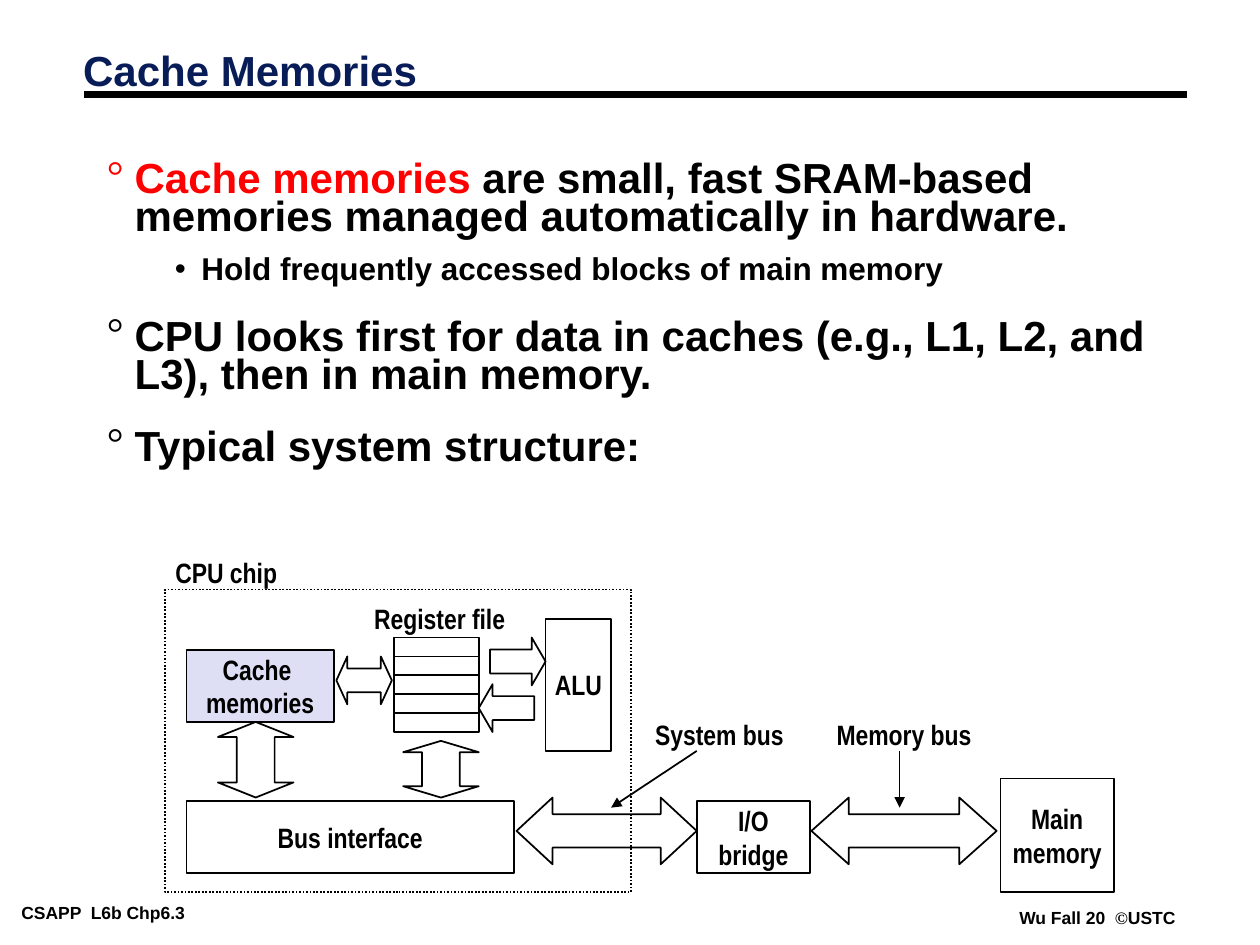
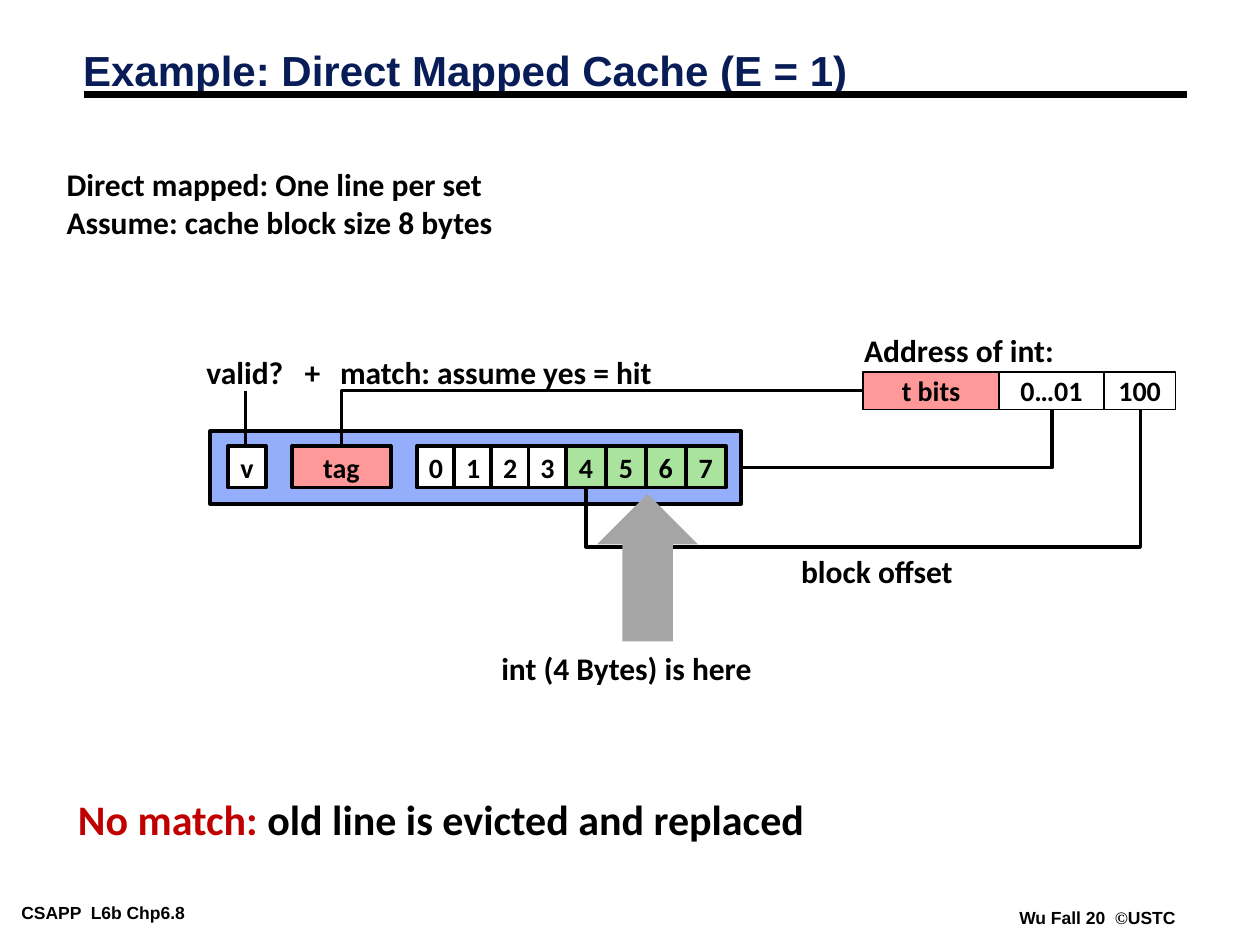
from dataclasses import dataclass

from lxml import etree
from pptx import Presentation
from pptx.dml.color import RGBColor
from pptx.enum.dml import MSO_LINE_DASH_STYLE as Dash
from pptx.enum.shapes import MSO_CONNECTOR as Conn, MSO_SHAPE as Shape
from pptx.enum.text import MSO_ANCHOR as Anchor, MSO_AUTO_SIZE as AutoSize, PP_ALIGN as Align
from pptx.oxml.ns import qn
from pptx.util import Inches, Pt


@dataclass(frozen=True)
class Theme:
    black: str = "000000"
    white: str = "FFFFFF"
    navy: str = "081D58"
    red: str = "FF0000"
    dark_red: str = "C00000"
    lavender: str = "DEDFF5"
    blue: str = "95AEFC"
    pink: str = "FF9999"
    green: str = "A9E39D"
    gray: str = "A6A6A6"
    main_font: str = "Arial"
    narrow_font: str = "Arial Narrow"
    label_font: str = "Calibri"
    symbol_font: str = "Times New Roman"
    big: int = 24
    medium: int = 18
    small: int = 16
    footer: int = 10
    thin: float = 1
    wire: float = 2
    thick: float = 2.25
    rule: float = 4.5


def sub(parent, tag, **attrs):
    return etree.SubElement(parent, qn(tag), **attrs)


def write_run(p, text, *, font, size, color):
    r = p.add_run()
    r.text = text
    r.font.name = font
    r.font.size = Pt(size)
    r.font.bold = True
    r.font.color.rgb = RGBColor.from_string(color)


def write(tf, paragraphs, *, align=Align.LEFT, **style):
    for i, runs in enumerate(paragraphs):
        p = tf.paragraphs[0] if i == 0 else tf.add_paragraph()
        p.alignment = align
        for text, changes in [(runs, {})] if isinstance(runs, str) else runs:
            write_run(p, text, **{**style, **changes})


class Deck:
    def __init__(self, theme):
        self.theme = theme
        self.prs = Presentation()
        self.prs.slide_width = Inches(10)
        self.prs.slide_height = Inches(7.5)
        self.s = None
        self.font = theme.label_font

    def slide(self, title, number, font):
        t = self.theme
        self.font = font
        self.s = self.prs.slides.add_slide(self.prs.slide_layouts[5])
        footer = dict(font=t.main_font, size=t.footer, margins=(0.07, 0.03))
        self.text(0.1, 7.13, 2.03, 0.22, f"CSAPP  L6b Chp6.{number}", **footer)
        credit = [("Wu Fall 20  ", {}), ("©", {"font": t.symbol_font}), ("USTC", {})]
        self.text(8.02, 7.17, 1.38, 0.22, credit, **footer)
        self.line(0.67, 0.75, 9.42, 0.75, width=t.rule)
        sp = self.s.shapes.title
        sp.left, sp.top, sp.width, sp.height = map(Inches, (0.56, 0.36, 8.3, 0.45))
        tf = sp.text_frame
        tf.auto_size = AutoSize.NONE
        tf.vertical_anchor = Anchor.MIDDLE
        write(tf, [title], font=t.main_font, size=t.big, color=t.navy)
        tf.paragraphs[0].line_spacing = 0.87

    def text(self, x, y, w, h, *paragraphs, font=None, size=None, color=None,
             align=Align.LEFT, anchor=Anchor.TOP, margins=(0.1, 0.05)):
        t = self.theme
        sp = self.s.shapes.add_textbox(*map(Inches, (x, y, w, h)))
        tf = sp.text_frame
        tf.word_wrap = False
        tf.auto_size = AutoSize.SHAPE_TO_FIT_TEXT
        tf.vertical_anchor = anchor
        tf.margin_left = tf.margin_right = Inches(margins[0])
        tf.margin_top = tf.margin_bottom = Inches(margins[1])
        write(tf, paragraphs, font=font or self.font, size=size or t.medium,
              color=color or t.black, align=align)

    def caption(self, x, y, w, text):
        self.text(x, y, w, 0.37, text, size=self.theme.small,
                  align=Align.CENTER, anchor=Anchor.MIDDLE)

    def shape(self, kind, x, y, w, h, *lines, fill=None, border=Theme.thin, dash=None, adj=()):
        t = self.theme
        sp = self.s.shapes.add_shape(kind, *map(Inches, (x, y, w, h)))
        sp.shadow.inherit = False
        for i, value in enumerate(adj):
            sp.adjustments[i] = value
        for i, guide in enumerate(sp.element.spPr.iter(qn("a:gd")), 1):
            guide.set("name", f"adj{i}")
        if fill:
            sp.fill.solid()
            sp.fill.fore_color.rgb = RGBColor.from_string(fill)
        else:
            sp.fill.background()
        if border:
            sp.line.color.rgb = RGBColor.from_string(t.black)
            sp.line.width = Pt(border)
            if dash:
                sp.line.dash_style = dash
        else:
            sp.line.fill.background()
        if lines:
            tf = sp.text_frame
            tf.word_wrap = False
            tf.vertical_anchor = Anchor.MIDDLE
            write(tf, lines, font=self.font, size=t.small, color=t.black, align=Align.CENTER)

    def box(self, x, y, w, h, *lines, **style):
        self.shape(Shape.RECTANGLE, x, y, w, h, *lines, **style)

    def line(self, x1, y1, x2, y2, kind=Conn.STRAIGHT, width=Theme.thin, arrow=False):
        c = self.s.shapes.add_connector(kind, *map(Inches, (x1, y1, x2, y2)))
        c.line.color.rgb = RGBColor.from_string(self.theme.black)
        c.line.width = Pt(width)
        if arrow:
            sub(c.element.spPr.find(qn("a:ln")), "a:tailEnd", type="triangle")
        sub(c.element.spPr, "a:effectLst")
        return c

    def corner(self, x1, y1, x2, y2):
        c = self.line(x1, y1, x2, y2, Conn.ELBOW, self.theme.wire)
        c.element.spPr.find(qn("a:prstGeom")).set("prst", "bentConnector2")

    def loop_below(self, x1, y1, x2, y2, bottom):
        cx, cy = (x1 + x2) / 2, (y1 + y2) / 2
        half_w, half_h = (y2 - y1) / 2, (x1 - x2) / 2
        c = self.line(cx - half_w, cy - half_h, cx + half_w, cy + half_h,
                      Conn.ELBOW, self.theme.wire)
        c.element.spPr.find(qn("a:xfrm")).set("rot", str(90 * 60000))
        guides = c.element.spPr.find(qn("a:prstGeom")).find(qn("a:avLst"))
        ratio = round((bottom - y1) / (y2 - y1) * 100000)
        sub(guides, "a:gd", name="adj1", fmla=f"val {ratio}")

    def bullets(self, x, y, w, h, items):
        t = self.theme
        levels = [
            dict(mark="°", font=t.symbol_font, size=t.big, left=0.22, hang=0.22, ls=0.75, sb=19.5),
            dict(mark="•", font=t.main_font, size=t.medium, left=0.75, hang=0.21, ls=0.85, sb=9),
        ]
        tf = self.s.shapes.add_textbox(*map(Inches, (x, y, w, h))).text_frame
        tf.word_wrap = True
        for i, (level, runs) in enumerate(items):
            look = levels[level]
            p = tf.paragraphs[0] if i == 0 else tf.add_paragraph()
            p.level = level
            p.line_spacing = look["ls"]
            p.space_before = Pt(look["sb"])
            pPr = p._p.get_or_add_pPr()
            pPr.set("marL", str(Inches(look["left"])))
            pPr.set("indent", str(-Inches(look["hang"])))
            sub(sub(pPr, "a:buClr"), "a:srgbClr", val=runs[0][1])
            sub(pPr, "a:buFont", typeface=look["font"])
            sub(pPr, "a:buChar", char=look["mark"])
            for text, color in runs:
                write_run(p, text, font=t.main_font, size=look["size"], color=color)


def cache_memories(d):
    t = d.theme
    d.slide("Cache Memories", 3, t.narrow_font)
    d.bullets(0.75, 1.25, 8.58, 2.52, [
        (0, [("Cache memories ", t.red),
             ("are small, fast SRAM-based memories managed automatically in hardware.", t.black)]),
        (1, [("Hold frequently accessed blocks of main memory", t.black)]),
        (0, [("CPU looks first for data in caches (e.g., L1, L2, and L3), then in main memory.",
              t.black)]),
        (0, [("Typical system structure:", t.black)]),
    ])

    d.box(7.94, 6.18, 0.9, 0.9, "Main", "memory")
    d.box(5.53, 6.36, 0.9, 0.57, "I/O", "bridge")
    d.box(1.48, 6.36, 2.6, 0.57, "Bus interface")
    d.box(4.33, 4.91, 0.52, 1.05, "ALU")
    d.box(1.48, 5.16, 1.17, 0.57, "Cache ", "memories", fill=t.lavender)
    for row in range(5):
        d.box(3.13, 5.06 + 0.15 * row, 0.67, 0.15)
    d.box(1.31, 4.68, 3.7, 2.4, dash=Dash.ROUND_DOT)

    for kind, x, y, w, h, head in [
        (Shape.LEFT_RIGHT_ARROW, 6.44, 6.33, 1.47, 0.53, 0.56),
        (Shape.LEFT_RIGHT_ARROW, 4.1, 6.33, 1.43, 0.53, 0.54),
        (Shape.LEFT_RIGHT_ARROW, 2.67, 5.21, 0.44, 0.38, 0.23),
        (Shape.RIGHT_ARROW, 3.89, 5.06, 0.44, 0.38, 0.29),
        (Shape.LEFT_ARROW, 3.8, 5.43, 0.44, 0.38, 0.29),
        (Shape.UP_DOWN_ARROW, 3.2, 5.88, 0.6, 0.45, 0.2),
        (Shape.UP_DOWN_ARROW, 1.73, 5.73, 0.6, 0.6, 0.2),
    ]:
        d.shape(kind, x, y, w, h, adj=(0.5, head))

    d.caption(2.87, 4.72, 1.24, "Register file")
    d.caption(1.29, 4.36, 1.01, "CPU chip")
    d.caption(5.1, 5.64, 1.22, "System bus")
    d.caption(6.54, 5.64, 1.27, "Memory bus")
    d.line(5.53, 5.96, 4.85, 6.41, arrow=True)
    d.line(7.14, 5.96, 7.14, 6.41, arrow=True)


def direct_mapped(d):
    t = d.theme
    d.slide("Example: Direct Mapped Cache (E = 1)", 8, t.label_font)
    d.text(0.43, 1.26, 3.59, 0.7, "Direct mapped: One line per set",
           "Assume: cache block size 8 bytes")

    for x, w, bits, fill in [(6.85, 1.08, "t bits", t.pink), (7.93, 0.83, "0…01", t.white),
                             (8.76, 0.57, "100", t.white)]:
        d.box(x, 2.95, w, 0.3, bits, fill=fill)

    d.box(1.67, 3.42, 4.21, 0.58, fill=t.blue, border=t.thick)
    fields = [(1.81, 0.3, "v", t.white), (2.32, 0.78, "tag", t.pink)]
    fields += [(3.31 + 0.295 * i, 0.3, str(i), t.white) for i in range(4)]
    fields += [(4.49 + 0.317 * i, 0.32, str(i + 4), t.green) for i in range(4)]
    for x, w, label, fill in fields:
        d.box(x, 3.54, w, 0.33, label, fill=fill, border=t.thick)

    d.corner(5.87, 3.71, 8.35, 3.25)
    d.corner(6.85, 3.1, 2.71, 3.54)
    d.line(1.95, 3.1, 1.95, 3.54, width=t.wire)
    d.loop_below(9.05, 3.25, 4.65, 3.88, bottom=4.34)
    d.shape(Shape.UP_ARROW, 4.74, 3.92, 0.8, 1.17, fill=t.gray, border=0, adj=(0.5, 0.5))

    for x, y, w, label in [
        (6.76, 2.58, 1.71, "Address of int:"),
        (1.54, 2.75, 0.82, "valid?"),
        (2.32, 2.75, 0.33, "+"),
        (2.6, 2.75, 2.68, "match: assume yes = hit"),
        (3.88, 5.1, 2.19, "int (4 Bytes) is here"),
        (6.26, 4.33, 1.41, "block offset"),
    ]:
        d.text(x, y, w, 0.4, label)
    d.text(0.52, 6.25, 5.98, 0.5, [("No match: ", {"color": t.dark_red}),
                                   ("old line is evicted and replaced", {})], size=t.big)


def main():
    d = Deck(Theme())
    cache_memories(d)
    direct_mapped(d)
    d.prs.save("out.pptx")


if __name__ == "__main__":
    main()
